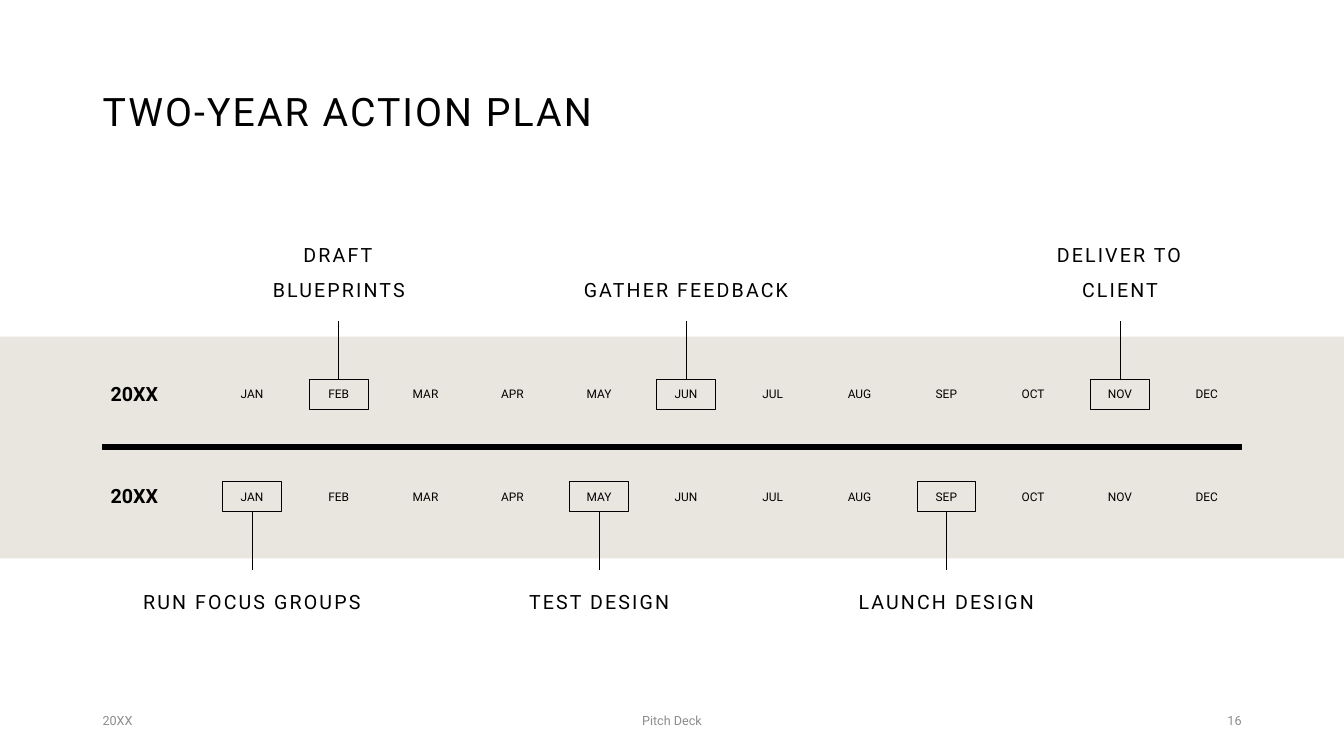
"""Build a slide with a two-year action plan on a monthly timeline."""
from dataclasses import dataclass

from lxml import etree
from pptx import Presentation
from pptx.dml.color import RGBColor
from pptx.enum.shapes import MSO_CONNECTOR, MSO_SHAPE
from pptx.enum.text import MSO_ANCHOR, MSO_AUTO_SIZE, PP_ALIGN
from pptx.oxml.ns import qn
from pptx.util import Pt

LEFT, CENTER, RIGHT = PP_ALIGN.LEFT, PP_ALIGN.CENTER, PP_ALIGN.RIGHT
TOP, MIDDLE, BOTTOM = MSO_ANCHOR.TOP, MSO_ANCHOR.MIDDLE, MSO_ANCHOR.BOTTOM
RECT = MSO_SHAPE.RECTANGLE
STRAIGHT = MSO_CONNECTOR.STRAIGHT
NO_FIT = MSO_AUTO_SIZE.NONE

COLORS = {"ink": "000000", "band": "E9E6DF", "muted": "8C8C8C"}
FONT = "Roboto"
MONTHS = "JAN FEB MAR APR MAY JUN JUL AUG SEP OCT NOV DEC".split()
FIRST_MID, PITCH = 180, 62
BOX_WIDTH, BOX_HEIGHT = 42, 21.6


@dataclass(frozen=True)
class Style:
    size: float
    align: PP_ALIGN = LEFT
    anchor: MSO_ANCHOR = MIDDLE
    line: float = 1
    before: float = 0
    track: int = 0
    bold: bool = False
    color: str = "ink"


@dataclass(frozen=True)
class Goal:
    text: str
    month: str
    width: float = 162


@dataclass(frozen=True)
class Year:
    top: float
    label_top: float
    stem_end: float
    site: int
    style: Style
    goals: tuple[Goal, ...]


@dataclass(frozen=True)
class Footer:
    text: str
    left: float
    width: float
    align: PP_ALIGN


TITLE = Style(28, line=0.9, track=150)
YEAR = Style(14, line=0.9, before=10, bold=True)
MONTH = Style(8.5, CENTER, TOP, 0.7, 10)
ABOVE = Style(14, CENTER, BOTTOM, 1.5, 10, 150)
BELOW = Style(14, CENTER, TOP, 1.5, 10, 150)

YEARS = (
    Year(270.7, 175, 229, 0, ABOVE, (
        Goal("DRAFT BLUEPRINTS", "FEB"),
        Goal("GATHER FEEDBACK", "JUN"),
        Goal("DELIVER TO CLIENT", "NOV"),
    )),
    Year(343.6, 409.7, 407.5, 2, BELOW, (
        Goal("RUN FOCUS GROUPS", "JAN", 197),
        Goal("TEST DESIGN", "MAY"),
        Goal("LAUNCH DESIGN", "SEP"),
    )),
)
FOOTERS = (
    Footer("20XX", 66.2, 216, LEFT),
    Footer("Pitch Deck", 318, 324, CENTER),
    Footer("16", 678, 216, RIGHT),
)


def paint(name: str) -> RGBColor:
    """Return a named colour."""
    return RGBColor.from_string(COLORS[name])


def write(shape, text: str, style: Style) -> None:
    """Put styled text in a shape."""
    frame = shape.text_frame
    frame.text = text
    frame.word_wrap = True
    frame.auto_size = NO_FIT
    frame.vertical_anchor = style.anchor
    para = frame.paragraphs[0]
    para.alignment = style.align
    para.line_spacing = style.line
    para.space_before = Pt(style.before)
    run = para.runs[0]
    run.font.name = FONT
    run.font.size = Pt(style.size)
    run.font.bold = style.bold
    run.font.color.rgb = paint(style.color)
    if style.track:
        run._r.get_or_add_rPr().set("spc", str(style.track))


def add_text(slide, text: str, left: float, top: float, width: float,
             height: float, style: Style) -> None:
    """Add a text box."""
    box = slide.shapes.add_textbox(Pt(left), Pt(top), Pt(width), Pt(height))
    write(box, text, style)


def add_rect(slide, left: float, top: float, width: float, height: float,
             fill: str = "", line: float = 0):
    """Add a rectangle with an optional fill and outline."""
    rect = slide.shapes.add_shape(RECT, Pt(left), Pt(top), Pt(width), Pt(height))
    rect.shadow.inherit = False
    if fill:
        rect.fill.solid()
        rect.fill.fore_color.rgb = paint(fill)
    else:
        rect.fill.background()
    if line:
        rect.line.color.rgb = paint("ink")
        rect.line.width = Pt(line)
    else:
        rect.line.fill.background()
    return rect


def add_goal(slide, goal: Goal, year: Year) -> None:
    """Frame a month and tie it to its goal."""
    mid = FIRST_MID + PITCH * MONTHS.index(goal.month)
    add_text(slide, goal.text, mid - goal.width / 2, year.label_top,
             goal.width, 44, year.style)
    box = add_rect(slide, mid - BOX_WIDTH / 2, year.top, BOX_WIDTH, BOX_HEIGHT,
                   line=0.5)
    stem = slide.shapes.add_connector(STRAIGHT, Pt(mid), Pt(year.top),
                                      Pt(mid), Pt(year.stem_end))
    stem.begin_connect(box, year.site)
    stem.line.color.rgb = paint("ink")
    stem.line.width = Pt(0.5)
    etree.SubElement(stem._element.spPr, qn("a:effectLst"))


def add_year(slide, year: Year) -> None:
    """Add a row of months with its goals."""
    add_text(slide, "20XX", 72, year.top - 6.2, 57.6, 36, YEAR)
    for col, month in enumerate(MONTHS):
        mid = FIRST_MID + PITCH * col
        add_text(slide, month, mid - 25.2, year.top + 5, 50.4, 15.8, MONTH)
    for goal in year.goals:
        add_goal(slide, goal, year)


def main() -> None:
    """Build and save the slide."""
    deck = Presentation()
    deck.slide_width, deck.slide_height = Pt(960), Pt(540)
    slide = deck.slides.add_slide(deck.slide_layouts[5])
    title = slide.shapes.title
    title.left, title.top = Pt(66.2), Pt(28.8)
    title.width, title.height = Pt(828), Pt(104.4)
    write(title, "TWO-YEAR ACTION PLAN", TITLE)
    add_rect(slide, 0, 240.5, 960, 158.4, "band")
    add_rect(slide, 73.4, 317.5, 813.6, 3.6, "ink", 1)
    for year in YEARS:
        add_year(slide, year)
    for foot in FOOTERS:
        style = Style(9, foot.align, color="muted")
        add_text(slide, foot.text, foot.left, 500.4, foot.width, 28.8, style)
    deck.save("out.pptx")


if __name__ == "__main__":
    main()
